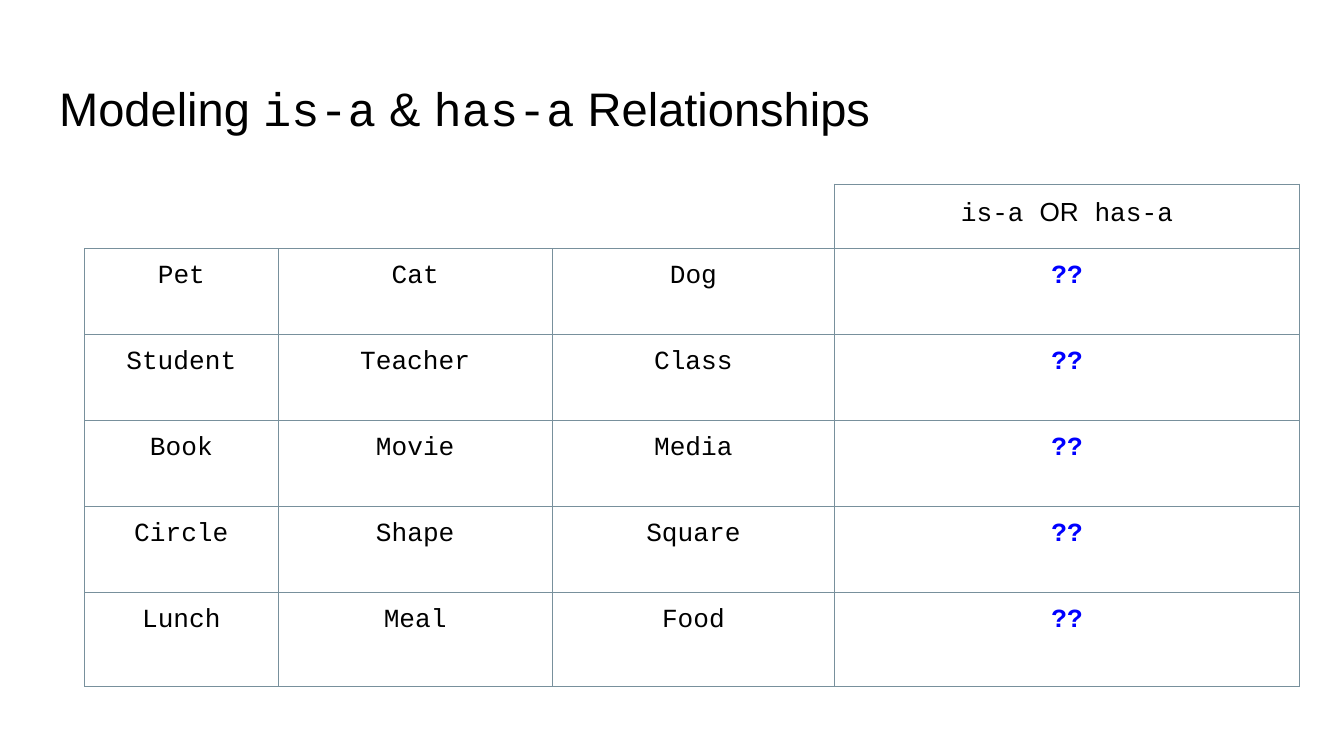
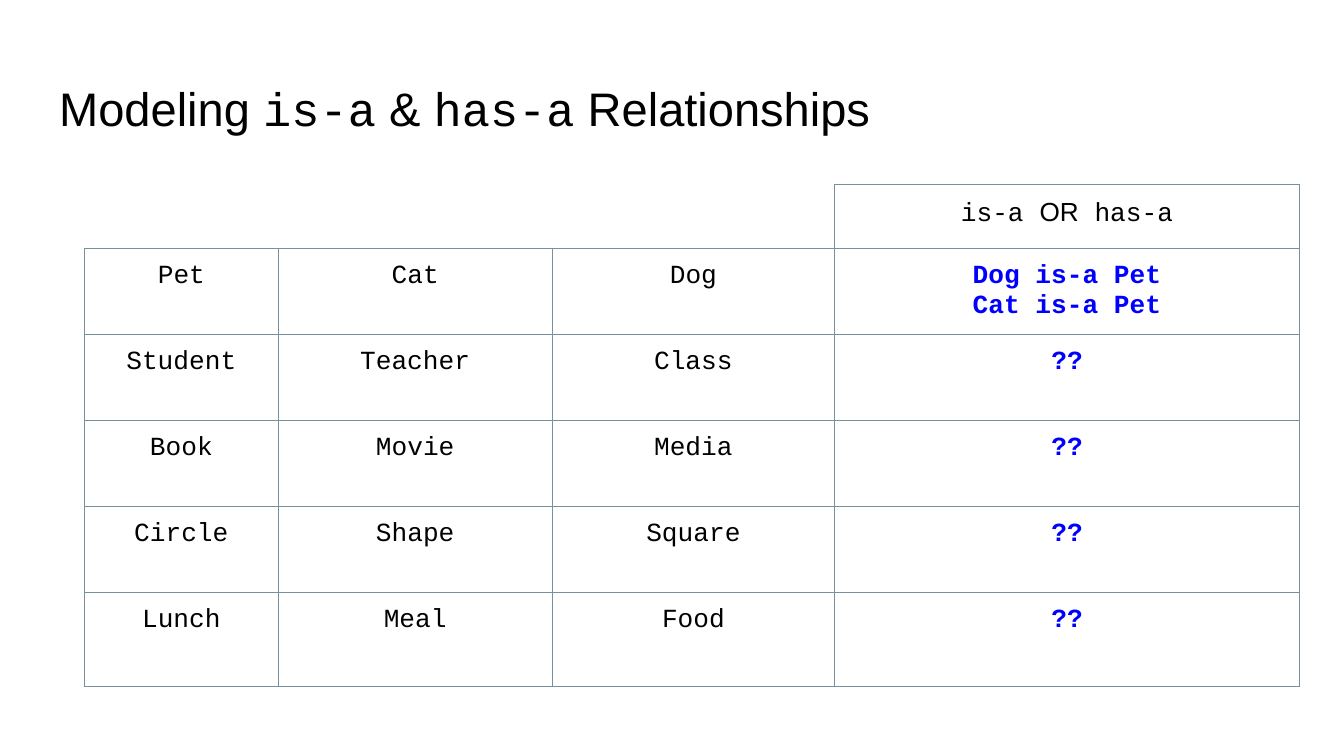
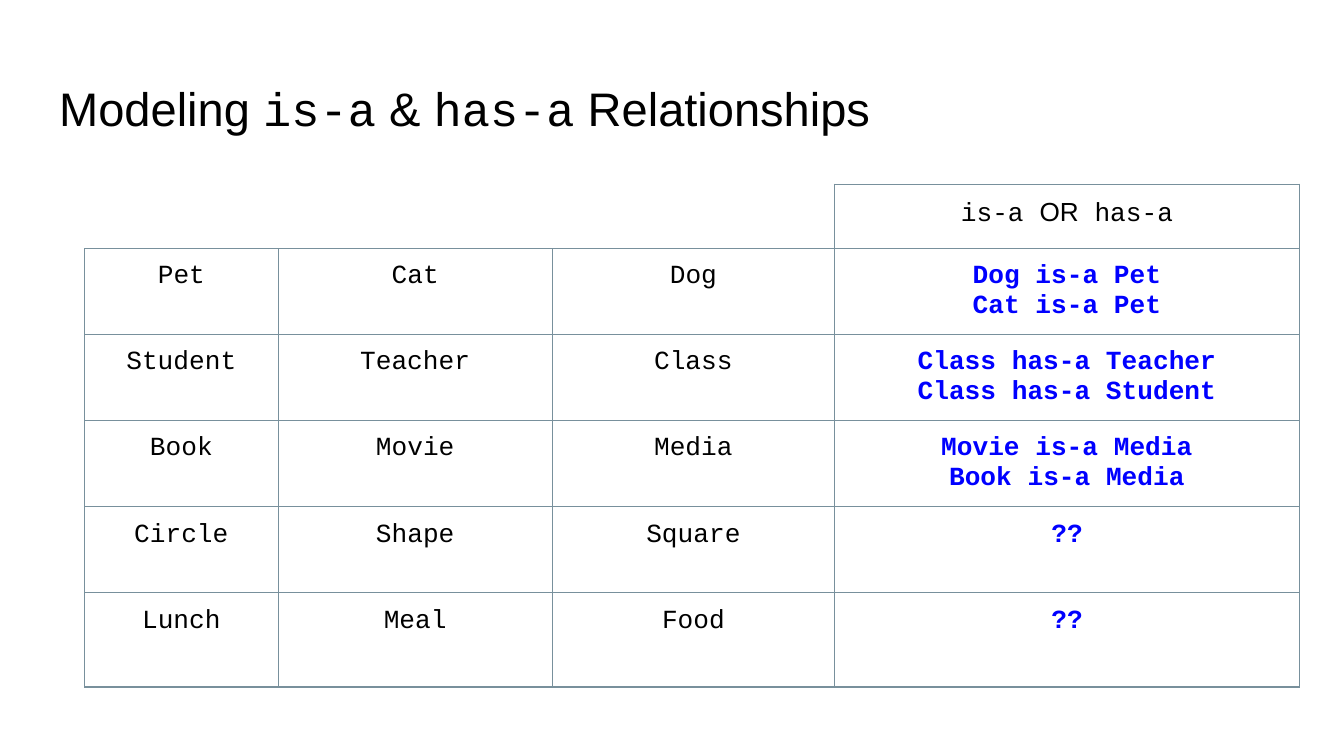
"""Build three slides that reveal is-a and has-a answers step by step."""
from dataclasses import dataclass

from pptx import Presentation
from pptx.dml.color import RGBColor
from pptx.enum.text import MSO_ANCHOR, MSO_AUTO_SIZE, PP_ALIGN
from pptx.oxml import parse_xml
from pptx.oxml.ns import nsdecls
from pptx.slide import Slide
from pptx.table import _Cell
from pptx.text.text import _Paragraph
from pptx.util import Inches, Pt

SANS, MONO = "Arial", "Courier New"
BLACK, WHITE, BLUE, GRID = "000000", "FFFFFF", "0000FF", "78909C"
INSET = Inches(0.1)
TITLE_SIZE, CELL_SIZE = 25.2, 14
COL_WIDTHS = (1.44, 2.04, 2.1, 3.46)
ROW_HEIGHTS = (0.48, 0.64, 0.64, 0.64, 0.64, 0.7)
UNSOLVED = ("??",)
SOLVED_PER_SLIDE = (0, 1, 3)


@dataclass(frozen=True)
class Span:
    """A piece of text in one font."""
    text: str
    font: str = MONO


@dataclass(frozen=True)
class Question:
    """Three class names and the relationships between them."""
    names: tuple[str, str, str]
    answer: tuple[str, ...] = UNSOLVED


TITLE = (Span("Modeling ", SANS), Span("is-a"), Span(" & ", SANS),
         Span("has-a"), Span(" Relationships", SANS))
HEADING = (Span("is-a "), Span("OR", SANS), Span(" has-a"))
QUESTIONS = (
    Question(("Pet", "Cat", "Dog"), ("Dog is-a Pet", "Cat is-a Pet")),
    Question(("Student", "Teacher", "Class"),
             ("Class has-a Teacher", "Class has-a Student")),
    Question(("Book", "Movie", "Media"),
             ("Movie is-a Media", "Book is-a Media")),
    Question(("Circle", "Shape", "Square")),
    Question(("Lunch", "Meal", "Food")),
)


def rgb(color: str) -> RGBColor:
    """Turn a hex string into a colour."""
    return RGBColor.from_string(color)


def add_run(p: _Paragraph, span: Span, size: float, color: str = BLACK,
            bold: bool = False) -> None:
    """Add one formatted run to a paragraph."""
    r = p.add_run()
    r.text = span.text
    r.font.name = span.font
    r.font.size = Pt(size)
    r.font.bold = bold
    r.font.color.rgb = rgb(color)


def add_title(s: Slide) -> None:
    """Place the title placeholder and fill it."""
    sp = s.shapes.title
    sp.left, sp.top = Inches(0.34), Inches(0.49)
    sp.width, sp.height = Inches(9.32), Inches(0.63)
    tf = sp.text_frame
    tf.word_wrap = True
    tf.auto_size = MSO_AUTO_SIZE.NONE
    tf.vertical_anchor = MSO_ANCHOR.TOP
    tf.margin_left = tf.margin_right = tf.margin_top = tf.margin_bottom = INSET
    p = tf.paragraphs[0]
    p.alignment = PP_ALIGN.LEFT
    for span in TITLE:
        add_run(p, span, TITLE_SIZE)


def style_cell(cell: _Cell, left: str = GRID, right: str = GRID,
               top: str = GRID, bottom: str = GRID) -> None:
    """Give a cell its four borders and no fill."""
    tc_pr = cell._tc.get_or_add_tcPr()
    for side, color in zip("LRTB", (left, right, top, bottom)):
        tc_pr.append(parse_xml(
            f'<a:ln{side} {nsdecls("a")} w="{Pt(0.75)}"><a:solidFill>'
            f'<a:srgbClr val="{color}"/></a:solidFill></a:ln{side}>'))
    cell.fill.background()


def start_cell(cell: _Cell) -> _Paragraph:
    """Style a text cell and return its centred paragraph."""
    style_cell(cell)
    cell.margin_left = cell.margin_right = INSET
    cell.margin_top = cell.margin_bottom = INSET
    p = cell.text_frame.paragraphs[0]
    p.alignment = PP_ALIGN.CENTER
    return p


def add_table(s: Slide, solved: int) -> None:
    """Draw the table with the first answers filled in."""
    table = s.shapes.add_table(
        len(ROW_HEIGHTS), len(COL_WIDTHS), Inches(0.63), Inches(1.37),
        Inches(sum(COL_WIDTHS)), Inches(sum(ROW_HEIGHTS))).table
    table.first_row = table.horz_banding = False
    for column, width in zip(table.columns, COL_WIDTHS):
        column.width = Inches(width)
    for row, height in zip(table.rows, ROW_HEIGHTS):
        row.height = Inches(height)

    last = len(COL_WIDTHS) - 1
    for col in range(last):
        right = GRID if col == last - 1 else WHITE
        style_cell(table.cell(0, col), left=WHITE, right=right, top=WHITE)
    p = start_cell(table.cell(0, last))
    for span in HEADING:
        add_run(p, span, CELL_SIZE)

    for row, question in enumerate(QUESTIONS, start=1):
        for col, name in enumerate(question.names):
            add_run(start_cell(table.cell(row, col)), Span(name), CELL_SIZE)
        p = start_cell(table.cell(row, last))
        answer = question.answer if row <= solved else UNSOLVED
        for i, line in enumerate(answer):
            if i:
                p.add_line_break()
            add_run(p, Span(line), CELL_SIZE, BLUE, bold=True)


def main() -> None:
    """Build and save the slides."""
    prs = Presentation()
    prs.slide_width = Inches(10)
    prs.slide_height = prs.slide_width * 9 // 16
    for solved in SOLVED_PER_SLIDE:
        s = prs.slides.add_slide(prs.slide_layouts[5])
        add_title(s)
        add_table(s, solved)
    prs.save("out.pptx")


if __name__ == "__main__":
    main()
